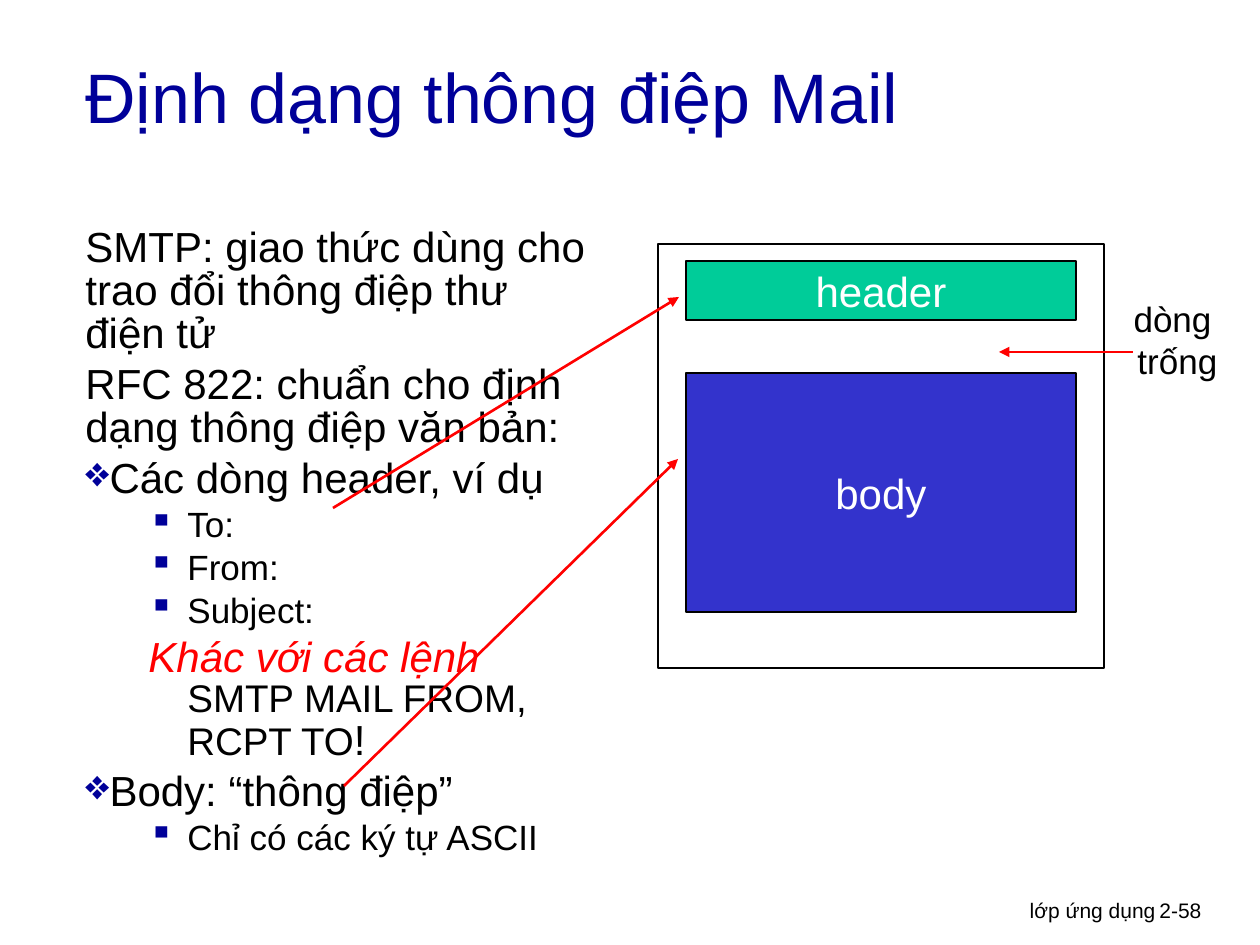
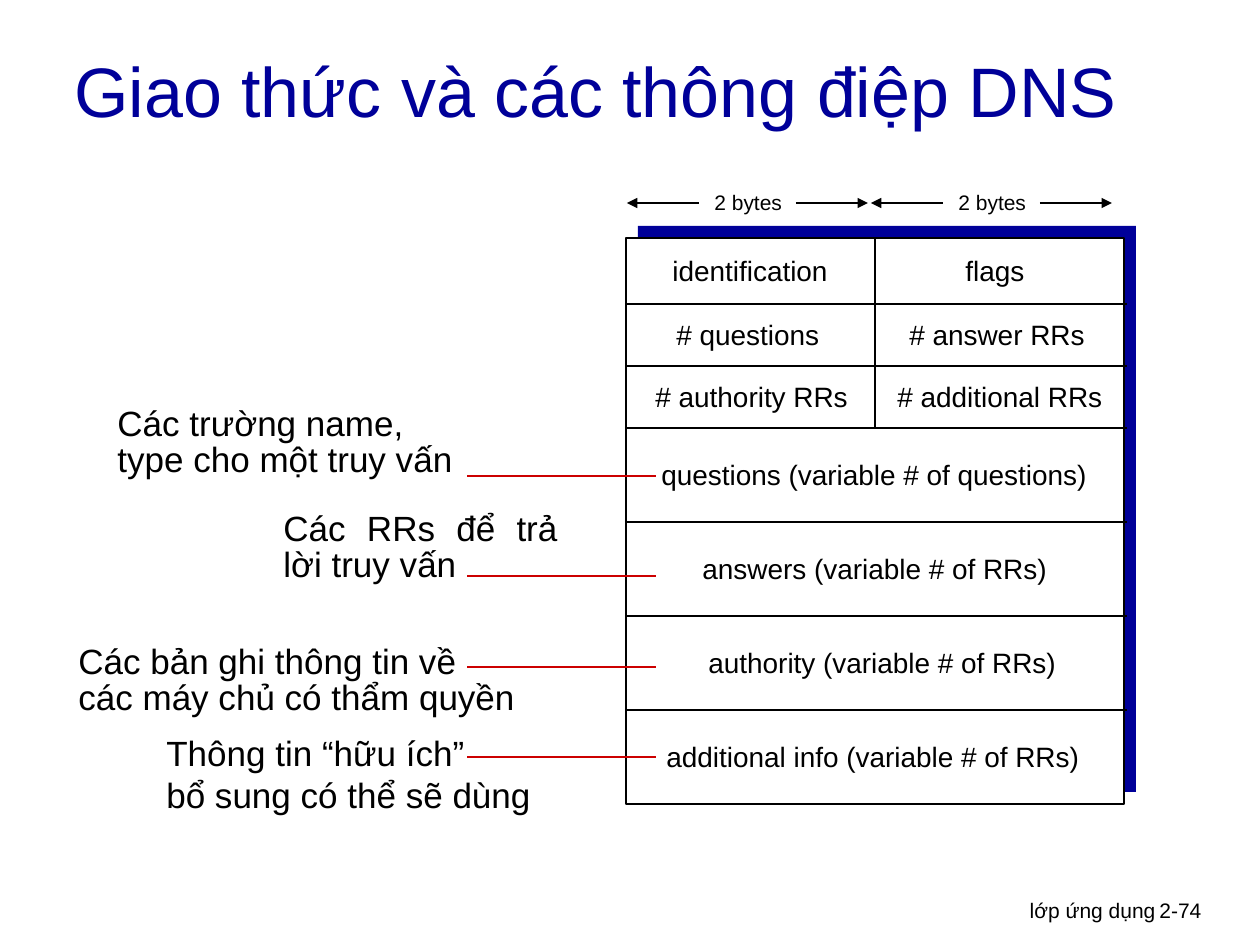
from itertools import accumulate

from lxml.etree import SubElement
from pptx import Presentation
from pptx.dml.color import RGBColor
from pptx.enum.shapes import MSO_CONNECTOR, MSO_SHAPE
from pptx.enum.text import MSO_ANCHOR, MSO_AUTO_SIZE, PP_ALIGN
from pptx.oxml.ns import qn
from pptx.util import Pt

PX = 914400 // 126
FONT = "Arial"
COLORS = {
    "navy": "000099", "black": "000000", "white": "FFFFFF", "red": "FF0000",
    "crimson": "CC0000", "green": "00CC99", "blue": "3333CC",
}
FOOTER = "lớp ứng dụng"

MAIL_TITLE = "Định dạng thông điệp Mail"
# paragraph style, then runs of (text, size, color, italic)
MAIL_POINTS = [
    ("plain", [("SMTP: giao thức dùng cho trao đổi thông điệp thư điện tử", 24, "black", False)]),
    ("plain", [("RFC 822: chuẩn cho định dạng thông điệp văn bản:", 24, "black", False)]),
    ("point", [("Các dòng header, ví dụ", 24, "black", False)]),
    ("sub", [("To:", 20, "black", False)]),
    ("sub", [("From:", 20, "black", False)]),
    ("sub", [("Subject:", 20, "black", False)]),
    ("remark", [("Khác với các lệnh ", 24, "red", True),
                ("SMTP MAIL FROM, RCPT TO", 22, "black", False),
                ("!", 24, "black", False)]),
    ("point", [("Body: “thông điệp”", 24, "black", False)]),
    ("sub", [("Chỉ có các ký tự ASCII", 20, "black", False)]),
]
# level, left margin, indent, space before in points, bullet
POINT_STYLES = {
    "plain": (0, 0, 0, 4.8, None),
    "point": (0, 0, -14, 4.8, "❖"),
    "sub": (1, 102, -39, 4, "▪"),
    "remark": (1, 102, -39, 4.8, None),
}
MESSAGE_PARTS = [("header", "green", 261, 59), ("body", "blue", 373, 239)]
MESSAGE_FRAME = (658, 244, 446, 424)
BLANK_LINE = "dòng \ntrống"
MAIL_ARROWS = [((333, 508), (679, 297)), ((344, 786), (678, 459)), ((1133, 352), (999, 352))]

DNS_TITLE = "Giao thức và các thông điệp DNS"
# row height, then fields of (text, left, width)
DNS_ROWS = [
    (66, [("identification", 660, 180), ("flags", 953, 84)]),
    (62, [("# questions", 664, 169), ("# answer RRs", 897, 202)]),
    (62, [("# authority RRs", 643, 218), ("# additional RRs", 885, 231)]),
    (94, [("questions (variable # of questions)", 649, 452)]),
    (94, [("answers (variable # of RRs)", 690, 370)]),
    (94, [("authority (variable # of RRs)", 696, 374)]),
    (94, [("additional info (variable # of RRs)", 654, 438)]),
]
# text, box, line spacing, height of the pointer line
DNS_CAPTIONS = [
    ("Các trường name, \ntype cho một truy vấn", (105, 402, 363, 84), 0.85, 476),
    ("Các RRs để trả lời truy vấn", (271, 507, 299, 84), 0.85, 576),
    ("Các bản ghi thông tin về\ncác máy chủ có thẩm quyền", (66, 640, 465, 84), 0.85, 667),
    ("Thông tin “hữu ích” \nbổ sung có thể sẽ dùng", (154, 725, 392, 97), None, 757),
]
DNS_LEFT, DNS_TOP, DNS_WIDTH = 626, 238, 498
SHADOW_SHIFT = 12
FIELD_HEIGHT = 47
HALF_WIDTH_LABEL = "2 bytes"
HALF_STEP = 244


def emu(*lengths):
    return [length * PX for length in lengths]


def rgb(color):
    return RGBColor.from_string(COLORS[color])


def style_run(run, size, color, italic=False):
    font = run.font
    font.name, font.size, font.italic = FONT, Pt(size), italic
    font.color.rgb = rgb(color)


def write(frame, text, size, color="black", align=PP_ALIGN.LEFT,
          anchor=MSO_ANCHOR.TOP, spacing=None):
    frame.text = text
    frame.vertical_anchor = anchor
    for paragraph in frame.paragraphs:
        paragraph.alignment = align
        paragraph.line_spacing = spacing
        for run in paragraph.runs:
            style_run(run, size, color)


def add_text(shapes, box, text, size, wrap=True, grow=False, **style):
    frame = shapes.add_textbox(*emu(*box)).text_frame
    frame.word_wrap = wrap
    frame.auto_size = MSO_AUTO_SIZE.SHAPE_TO_FIT_TEXT if grow else MSO_AUTO_SIZE.NONE
    write(frame, text, size, **style)


def add_box(shapes, box, fill=None, line=None, width=0.75):
    rect = shapes.add_shape(MSO_SHAPE.RECTANGLE, *emu(*box))
    rect.shadow.inherit = False
    if fill:
        rect.fill.solid()
        rect.fill.fore_color.rgb = rgb(fill)
    else:
        rect.fill.background()
    if line:
        rect.line.color.rgb = rgb(line)
        rect.line.width = Pt(width)
    else:
        rect.line.fill.background()
    return rect


def add_line(shapes, start, end, color="black", width=1.5, arrow=False):
    line = shapes.add_connector(MSO_CONNECTOR.STRAIGHT, *emu(*start, *end))
    line.line.color.rgb = rgb(color)
    line.line.width = Pt(width)
    if arrow:
        SubElement(line.line._get_or_add_ln(), qn("a:tailEnd"), type="triangle")
    SubElement(line._element.spPr, qn("a:effectLst"))
    return line


def set_point_style(paragraph, style):
    level, margin, indent, before, bullet = POINT_STYLES[style]
    paragraph.level = level
    paragraph.line_spacing = 0.85
    paragraph.space_before = Pt(before)
    props = paragraph._p.get_or_add_pPr()
    props.set("marL", str(margin * PX))
    props.set("indent", str(indent * PX))
    if bullet:
        bullet_color = SubElement(props, qn("a:buClr"))
        SubElement(bullet_color, qn("a:srgbClr"), val=COLORS["navy"])
        SubElement(props, qn("a:buChar"), char=bullet)
    else:
        SubElement(props, qn("a:buNone"))


def start_slide(deck, title, title_box, number):
    shapes = deck.slides.add_slide(deck.slide_layouts[6]).shapes
    add_text(shapes, (769, 891, 399, 39), FOOTER, 12, align=PP_ALIGN.RIGHT)
    add_text(shapes, (1147, 891, 93, 38), number, 12)
    add_text(shapes, title_box, title, 40, color="navy", anchor=MSO_ANCHOR.MIDDLE)
    return shapes


def add_mail_slide(deck):
    shapes = start_slide(deck, MAIL_TITLE, (73, 16, 1071, 158), "2-58")

    points = shapes.add_textbox(*emu(73, 222, 525, 640)).text_frame
    points.word_wrap = True
    for index, (style, runs) in enumerate(MAIL_POINTS):
        paragraph = points.add_paragraph() if index else points.paragraphs[0]
        set_point_style(paragraph, style)
        for text, *look in runs:
            run = paragraph.add_run()
            run.text = text
            style_run(run, *look)
    points.paragraphs[0].space_before = Pt(0)

    for name, fill, top, height in MESSAGE_PARTS:
        part = add_box(shapes, (686, top, 390, height), fill, "black")
        write(part.text_frame, name, 24, "white", PP_ALIGN.CENTER, MSO_ANCHOR.MIDDLE)
    add_box(shapes, MESSAGE_FRAME, line="black", width=1)
    add_text(shapes, (1121, 291, 113, 97), BLANK_LINE, 20, wrap=False, grow=True,
             align=PP_ALIGN.CENTER)
    for start, end in MAIL_ARROWS:
        add_line(shapes, start, end, "red", arrow=True)


def add_dns_layout(shapes):
    """Draw the DNS message as a framed stack of rows with a solid shadow."""
    heights = [height for height, _ in DNS_ROWS]
    tops = list(accumulate(heights, initial=DNS_TOP))
    size = (DNS_WIDTH, sum(heights))
    add_box(shapes, (DNS_LEFT + SHADOW_SHIFT, DNS_TOP - SHADOW_SHIFT, *size), "navy")
    frame = add_box(shapes, (DNS_LEFT, DNS_TOP, *size), "white", "black", 1.5)

    for y in tops[1:-1]:
        add_line(shapes, (DNS_LEFT - 1, y), (DNS_LEFT + DNS_WIDTH + 3, y))
    split_rows = sum(len(fields) == 2 for _, fields in DNS_ROWS)
    middle = DNS_LEFT + DNS_WIDTH // 2
    divider = add_line(shapes, (middle, DNS_TOP), (middle, tops[split_rows]))
    divider.begin_connect(frame, 0)

    for top, (height, fields) in zip(tops, DNS_ROWS):
        y = top + (height - FIELD_HEIGHT) // 2
        for text, left, width in fields:
            add_text(shapes, (left, y, width, FIELD_HEIGHT), text, 16, wrap=False, grow=True)


def add_half_width(shapes, shift):
    """Label one half of the message width, with arrows pointing outwards."""
    add_text(shapes, (702 + shift, 183, 93, 38), HALF_WIDTH_LABEL, 12, wrap=False, grow=True)
    for start, end in [(796, 868), (699, 627)]:
        add_line(shapes, (start + shift, 203), (end + shift, 203), width=0.75, arrow=True)


def add_dns_slide(deck):
    shapes = start_slide(deck, DNS_TITLE, (62, 30, 1154, 118), "2-74")
    for text, box, spacing, _ in DNS_CAPTIONS:
        add_text(shapes, box, text, 20, grow=True, align=PP_ALIGN.JUSTIFY,
                 anchor=MSO_ANCHOR.MIDDLE, spacing=spacing)
    add_dns_layout(shapes.add_group_shape().shapes)
    for *_, y in DNS_CAPTIONS:
        add_line(shapes, (656, y), (467, y), "crimson")
    for half in range(2):
        add_half_width(shapes.add_group_shape().shapes, half * HALF_STEP)


def main():
    deck = Presentation()
    deck.slide_width, deck.slide_height = emu(1260, 945)
    add_mail_slide(deck)
    add_dns_slide(deck)
    deck.save("out.pptx")


if __name__ == "__main__":
    main()
